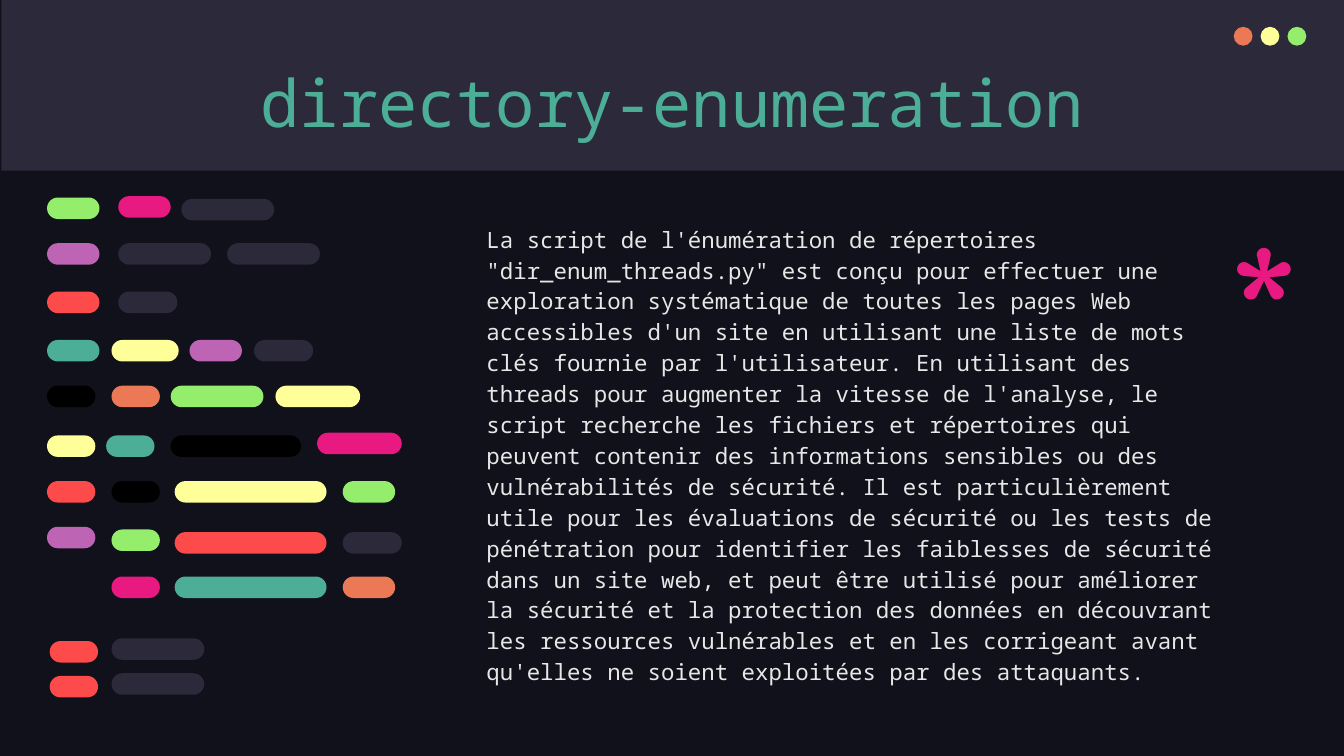
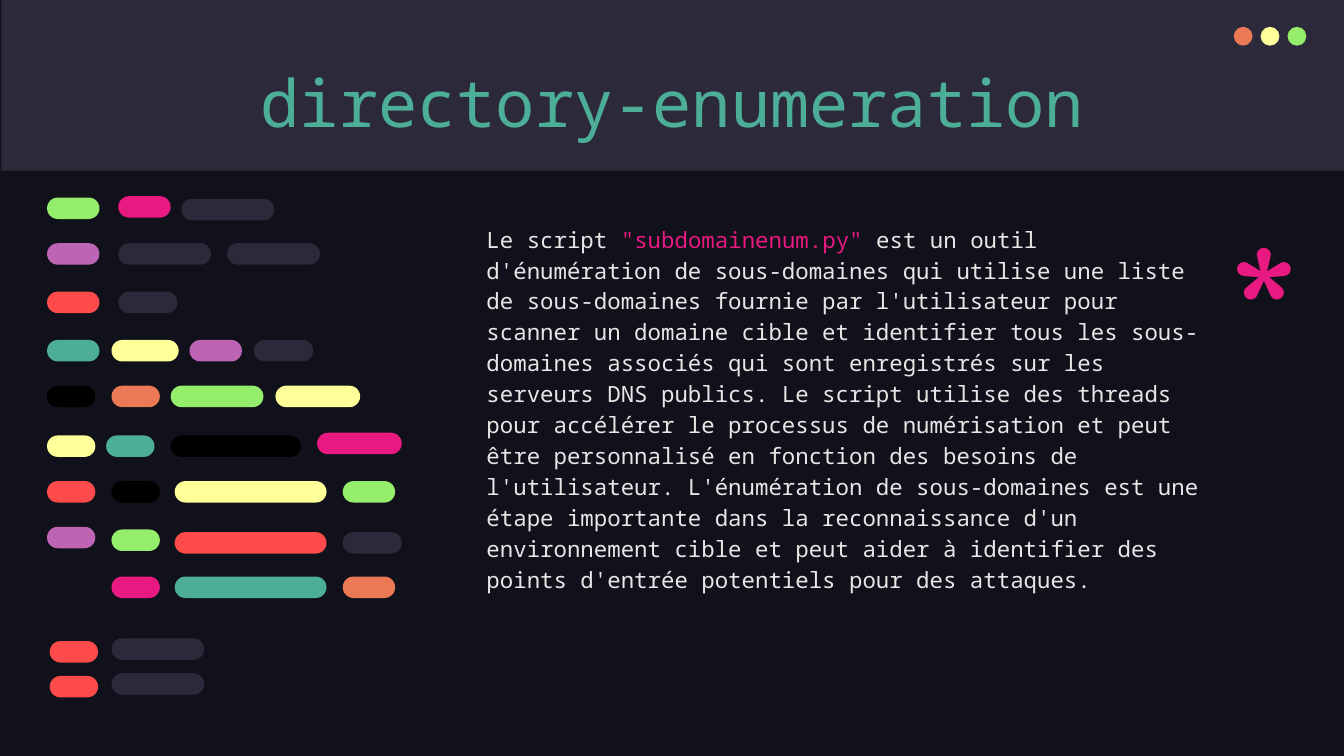
from pptx import Presentation
from pptx.dml.color import RGBColor
from pptx.enum.shapes import MSO_SHAPE
from pptx.enum.text import MSO_ANCHOR, MSO_AUTO_SIZE, PP_ALIGN
from pptx.util import Inches, Pt

# Palette and fonts
NIGHT, SLATE, BLACK, CLOUD = "10111A", "2C293A", "000000", "E7E7E7"
GREEN, PINK, PURPLE, RED = "94EE6B", "E81A81", "BD64B5", "FD4A4A"
TEAL, YELLOW, ORANGE = "4CAE97", "FFFF99", "EC7955"
MONO, ROUND = "Noto Sans Mono", "Comfortaa"

# Content: title and body runs (text, colour) of each slide
PAGES = [
    ("directory-enumeration", [
        ("La script de l'énumération de répertoires \"dir_enum_threads.py\" est conçu pour "
         "effectuer une exploration systématique de toutes les pages Web accessibles d'un site "
         "en utilisant une liste de mots clés fournie par l'utilisateur. En utilisant des threads "
         "pour augmenter la vitesse de l'analyse, le script recherche les fichiers et répertoires "
         "qui peuvent contenir des informations sensibles ou des vulnérabilités de sécurité. Il "
         "est particulièrement utile pour les évaluations de sécurité ou les tests de pénétration "
         "pour identifier les faiblesses de sécurité dans un site web, et peut être utilisé pour "
         "améliorer la sécurité et la protection des données en découvrant les ressources "
         "vulnérables et en les corrigeant avant qu'elles ne soient exploitées par des attaquants.",
         CLOUD),
    ]),
    ("directory-enumeration", [
        ("Le script ", CLOUD),
        ("\"subdomainenum.py\" ", PINK),
        ("est un outil d'énumération de sous-domaines qui utilise une liste de sous-domaines "
         "fournie par l'utilisateur pour scanner un domaine cible et identifier tous les "
         "sous-domaines associés qui sont enregistrés sur les serveurs DNS publics. Le script "
         "utilise des threads pour accélérer le processus de numérisation et peut être "
         "personnalisé en fonction des besoins de l'utilisateur. L'énumération de sous-domaines "
         "est une étape importante dans la reconnaissance d'un environnement cible et peut aider "
         "à identifier des points d'entrée potentiels pour des attaques.", CLOUD),
    ]),
]

# Code lines: top, then pills as (left, width, colour[, shift down])
PILL_HEIGHT = 0.16
CODE_LINES = [
    (1.47, [(0.35, 0.39, GREEN), (0.88, 0.39, PINK, -0.01), (1.35, 0.69, SLATE, 0.01)]),
    (1.81, [(0.35, 0.39, PURPLE), (0.88, 0.69, SLATE), (1.69, 0.69, SLATE)]),
    (2.17, [(0.35, 0.39, RED), (0.88, 0.44, SLATE)]),
    (2.53, [(0.35, 0.39, TEAL), (0.83, 0.5, YELLOW), (1.41, 0.39, PURPLE), (1.89, 0.44, SLATE)]),
    (2.87, [(0.35, 0.36, BLACK), (0.83, 0.36, ORANGE), (1.27, 0.69, GREEN), (2.05, 0.63, YELLOW)]),
    (3.24, [(0.35, 0.36, YELLOW), (0.79, 0.36, TEAL), (1.27, 0.97, BLACK),
            (2.36, 0.63, PINK, -0.02)]),
    (3.58, [(0.35, 0.36, RED), (0.83, 0.36, BLACK), (1.3, 1.13, YELLOW), (2.55, 0.39, GREEN)]),
    (3.92, [(0.35, 0.36, PURPLE), (0.83, 0.36, GREEN, 0.02), (1.3, 1.13, RED, 0.04),
            (2.55, 0.44, SLATE, 0.04)]),
    (4.29, [(0.83, 0.36, PINK), (1.3, 1.13, TEAL), (2.55, 0.39, ORANGE)]),
    (4.77, [(0.37, 0.36, RED), (0.83, 0.69, SLATE, -0.02)]),
    (5.03, [(0.37, 0.36, RED), (0.83, 0.69, SLATE, -0.02)]),
]

WIDTH, HEIGHT = 10, 10 * 9 / 16
DOT_LEFT, DOT_TOP, DOT_SIZE, DOT_PITCH = 9.18, 0.2, 0.14, 0.2


def color(hex_value):
    return RGBColor.from_string(hex_value)


def add_filled(shapes, kind, left, top, width, height, fill):
    part = shapes.add_shape(kind, Inches(left), Inches(top), Inches(width), Inches(height))
    part.shadow.inherit = False
    part.fill.solid()
    part.fill.fore_color.rgb = color(fill)
    part.line.fill.background()
    return part


def write(frame, runs, font, size, side_inset=0.1, align=PP_ALIGN.LEFT, spacing=1.0):
    frame.word_wrap = True
    frame.auto_size = MSO_AUTO_SIZE.NONE
    frame.vertical_anchor = MSO_ANCHOR.TOP
    frame.margin_left = frame.margin_right = Inches(side_inset)
    frame.margin_top = frame.margin_bottom = Inches(0.1)
    paragraph = frame.paragraphs[0]
    paragraph.alignment = align
    paragraph.line_spacing = spacing
    for text, ink in runs:
        run = paragraph.add_run()
        run.text = text
        run.font.name = font
        run.font.size = Pt(size)
        run.font.color.rgb = color(ink)


def add_text(slide, left, top, width, height, *args, **options):
    box = slide.shapes.add_textbox(Inches(left), Inches(top), Inches(width), Inches(height))
    write(box.text_frame, *args, **options)


def add_header(slide, heading):
    # Band and window dots sit behind the title
    title = slide.shapes.title
    band = add_filled(slide.shapes, MSO_SHAPE.RECTANGLE, 0.01, 0, WIDTH, 1.27, SLATE)
    title.element.addprevious(band.element)
    dots = slide.shapes.add_group_shape()
    for column, fill in enumerate((ORANGE, YELLOW, GREEN)):
        add_filled(dots.shapes, MSO_SHAPE.OVAL, DOT_LEFT + column * DOT_PITCH, DOT_TOP,
                   DOT_SIZE, DOT_SIZE, fill)
    title.element.addprevious(dots.element)

    title.left, title.top = Inches(0.79), Inches(0.36)
    title.width, title.height = Inches(8.43), Inches(0.63)
    write(title.text_frame, [(heading, TEAL)], MONO, 35, align=PP_ALIGN.CENTER)


def add_code_lines(slide):
    code = slide.shapes.add_group_shape()
    for top, pills in CODE_LINES:
        for left, width, fill, *shift in pills:
            pill = add_filled(code.shapes, MSO_SHAPE.ROUNDED_RECTANGLE, left, top + sum(shift),
                              width, PILL_HEIGHT, fill)
            pill.adjustments[0] = 0.5


def main():
    prs = Presentation()
    prs.slide_width, prs.slide_height = Inches(WIDTH), Inches(HEIGHT)
    backdrop = prs.slide_master.background.fill
    backdrop.solid()
    backdrop.fore_color.rgb = color(NIGHT)

    for heading, body in PAGES:
        slide = prs.slides.add_slide(prs.slide_layouts[5])
        add_header(slide, heading)
        add_text(slide, 3.62, 1.55, 5.43, 3.36, body, MONO, 12, side_inset=0, spacing=1.15)
        add_code_lines(slide)
        add_text(slide, 9.05, 1.46, 0.57, 0.87, [("*", PINK)], ROUND, 96)

    prs.save("out.pptx")


if __name__ == "__main__":
    main()
